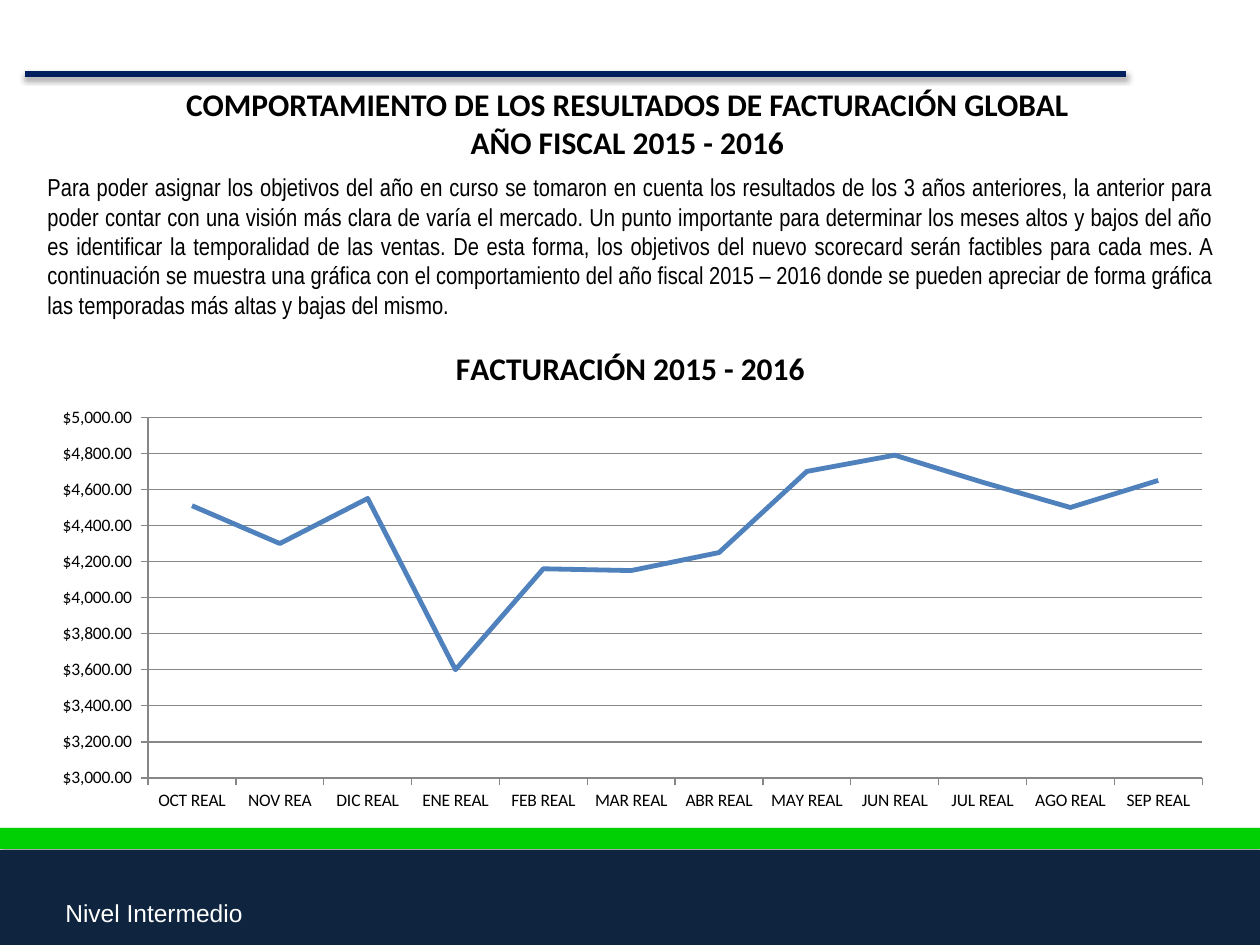
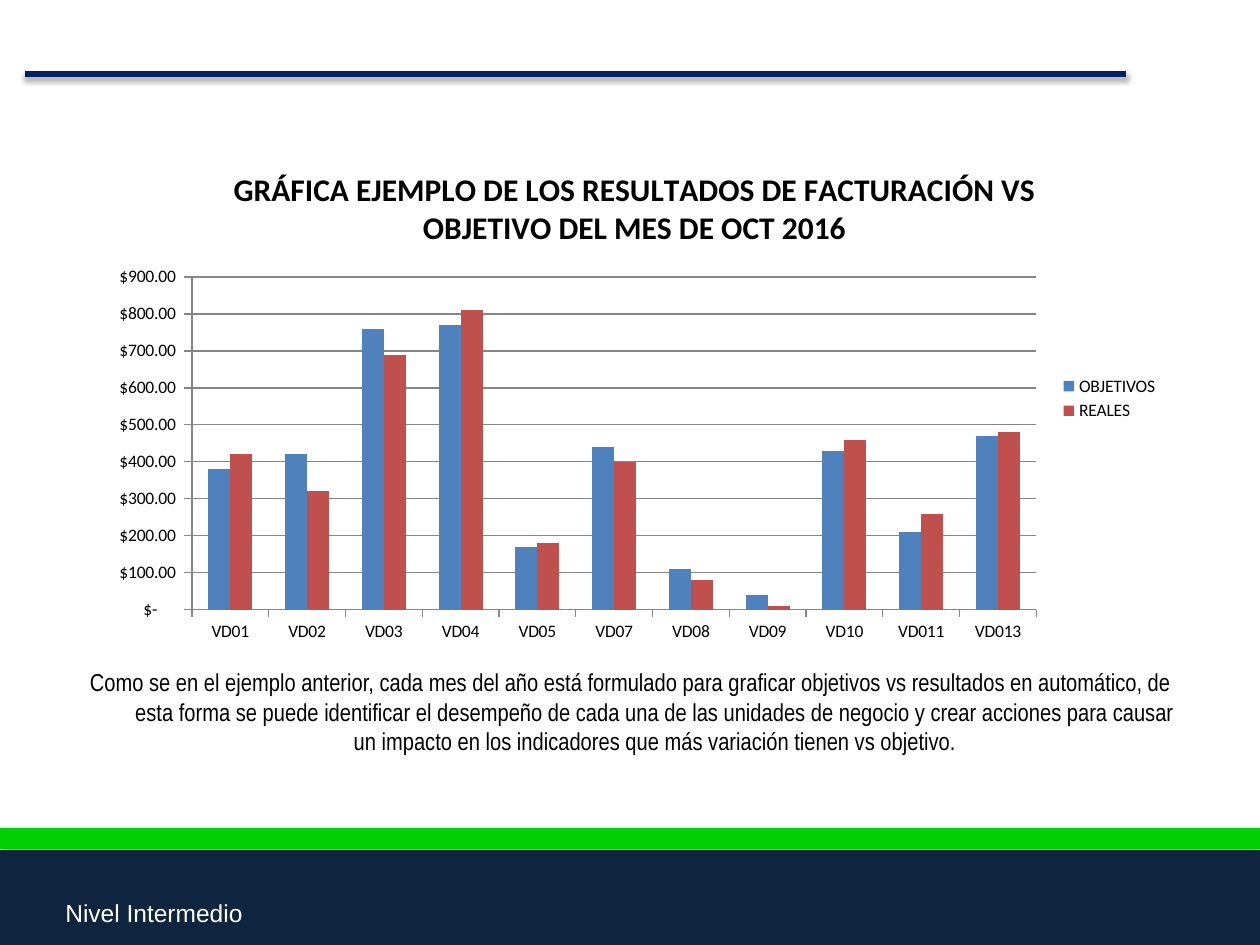
from lxml import etree
from pptx import Presentation, util as u
from pptx.chart.data import CategoryChartData
from pptx.dml.color import RGBColor
from pptx.enum import chart as ch, shapes, text
from pptx.oxml.ns import qn

PX = 914400 / 126
BLACK, WHITE, NAVY, GREEN = "000000", "FFFFFF", "0F243E", "01D004"
RULE, GRID, BLUE, RED = "002060", "868686", "4F81BD", "C0504D"
MONEY = '_("$"* #,##0.00_);_("$"* \\(#,##0.00\\);_("$"* "-"??_);_(@_)'
CENTER, JUSTIFY = text.PP_ALIGN.CENTER, text.PP_ALIGN.JUSTIFY


def px(*lengths):
    return [u.Emu(round(n * PX)) for n in lengths]


def rgb(color):
    return RGBColor.from_string(color)


def style(font, size, color, name, bold=False):
    font.size, font.name, font.bold = u.Pt(size), name, bold
    font.color.rgb = rgb(color)


def cast_shadow(sp):
    effects = etree.SubElement(sp._element.spPr, qn("a:effectLst"))
    shadow = etree.SubElement(effects, qn("a:outerShdw"), blurRad="40000",
                              dist="23000", dir="5400000", rotWithShape="0")
    color = etree.SubElement(shadow, qn("a:srgbClr"), val=BLACK)
    etree.SubElement(color, qn("a:alpha"), val="35000")


def add_band(s, box, color):
    sp = s.shapes.add_shape(shapes.MSO_SHAPE.RECTANGLE, *px(*box))
    sp.fill.solid()
    sp.fill.fore_color.rgb = rgb(color)
    sp.line.fill.background()
    cast_shadow(sp)


def add_text(s, box, lines, size, name, color=BLACK, bold=False, align=None, hanging=0):
    tf = s.shapes.add_textbox(*px(*box)).text_frame
    tf.word_wrap = True
    p = tf.paragraphs[0]
    p.alignment = align
    if hanging:
        indent = px(hanging)[0]
        p._p.get_or_add_pPr().set("marL", str(indent))
        p._p.get_or_add_pPr().set("indent", str(-indent))
    for i, line in enumerate(lines):
        if i:
            p.add_line_break()
        r = p.add_run()
        r.text = line
        style(r.font, size, color, name, bold)


def add_frame(prs):
    """Blank slide with the top rule, footer bands and footer text."""
    s = prs.slides.add_slide(prs.slide_layouts[6])
    add_band(s, (0, 828, 1260, 21), GREEN)
    add_band(s, (0, 850, 1260, 95), NAVY)
    add_text(s, (53, 892, 1207, 43), ["Nivel Intermedio"], 14, "Arial", WHITE)
    rule = s.shapes.add_connector(shapes.MSO_CONNECTOR.STRAIGHT, *px(25, 74, 1126, 74))
    rule.line.color.rgb = rgb(RULE)
    rule.line.width = u.Pt(3)
    cast_shadow(rule)
    return s


def add_chart(s, box, kind, title, cats, series, scale):
    data = CategoryChartData(number_format=MONEY)
    data.categories = cats
    for name, values in series:
        data.add_series(name, values)
    chart = s.shapes.add_chart(kind, *px(*box), data).chart
    style(chart.font, 10, BLACK, "Calibri")

    # Title and legend
    chart.has_title = True
    r = chart.chart_title.text_frame.paragraphs[0].add_run()
    r.text = title
    style(r.font, 18, BLACK, "Calibri", True)
    chart.chart_title.include_in_layout = False
    chart.has_legend = len(series) > 1
    if chart.has_legend:
        chart.legend.position = ch.XL_LEGEND_POSITION.RIGHT
        chart.legend.include_in_layout = False

    # Axes
    axis = chart.value_axis
    axis.minimum_scale, axis.maximum_scale, axis.major_unit = scale
    axis.tick_labels.number_format = MONEY
    axis.tick_labels.number_format_is_linked = False
    axis.has_major_gridlines = True
    for line in (axis.major_gridlines.format.line, axis.format.line,
                 chart.category_axis.format.line):
        line.color.rgb = rgb(GRID)
        line.width = u.Pt(0.75)
    for ax in (axis, chart.category_axis):
        ax.major_tick_mark = ch.XL_TICK_MARK.OUTSIDE

    # Series
    plot = chart.plots[0]
    plot.vary_by_categories = False
    for ser, color in zip(plot.series, (BLUE, RED)):
        if kind == ch.XL_CHART_TYPE.LINE:
            ser.smooth = False
            ser.format.line.color.rgb = rgb(color)
            ser.format.line.width = u.Pt(2.75)
        else:
            ser.format.fill.solid()
            ser.format.fill.fore_color.rgb = rgb(color)
    return plot


def billing_year_slide(prs):
    s = add_frame(prs)
    months = "OCT REAL,NOV REA,DIC REAL,ENE REAL,FEB REAL,MAR REAL,ABR REAL,MAY REAL,JUN REAL,JUL REAL,AGO REAL,SEP REAL"
    billing = (4510, 4300, 4550, 3600, 4160, 4150, 4250, 4700, 4790, 4640, 4500, 4650)
    add_chart(s, (35, 324, 1191, 496), ch.XL_CHART_TYPE.LINE, "FACTURACIÓN 2015 - 2016",
              months.split(","), [("Facturación", billing)], (3000, 5000, 200))
    add_text(s, (135, 79, 992, 89),
             ["COMPORTAMIENTO DE LOS RESULTADOS DE FACTURACIÓN GLOBAL ",
              "AÑO FISCAL 2015 - 2016 "], 18, "Calibri", bold=True, align=CENTER)
    add_text(s, (35, 166, 1191, 161), [
        "Para poder asignar los objetivos del año en curso se tomaron en cuenta los resultados "
        "de los 3 años anteriores, la anterior para poder contar con una visión más clara de "
        "varía el mercado. Un punto importante para determinar los meses altos y bajos del año "
        "es identificar la temporalidad de las ventas. De esta forma, los objetivos del nuevo "
        "scorecard serán factibles para cada mes. A continuación se muestra una gráfica con el "
        "comportamiento del año fiscal 2015 – 2016 donde se pueden apreciar de forma gráfica "
        "las temporadas más altas y bajas del mismo."], 14, "Arial Narrow", align=JUSTIFY)


def goals_slide(prs):
    s = add_frame(prs)
    add_text(s, (64, 661, 1134, 159), [
        "Como se en el ejemplo anterior, cada mes del año está formulado para graficar objetivos "
        "vs resultados en automático, de esta forma se puede identificar el desempeño de cada "
        "una de las unidades de negocio y crear acciones para causar un impacto en los "
        "indicadores que más variación tienen vs objetivo."],
        14, "Arial Narrow", align=CENTER, hanging=48)
    units = "VD01 VD02 VD03 VD04 VD05 VD07 VD08 VD09 VD10 VD011 VD013"
    series = [("OBJETIVOS ", (380, 420, 760, 770, 170, 440, 110, 40, 430, 210, 470)),
              ("REALES", (420, 320, 690, 810, 180, 400, 80, 10, 460, 260, 480))]
    plot = add_chart(
        s, (94, 145, 1081, 507), ch.XL_CHART_TYPE.COLUMN_CLUSTERED,
        "GRÁFICA EJEMPLO DE LOS RESULTADOS DE FACTURACIÓN VS OBJETIVO DEL MES DE OCT 2016",
        units.split(), series, (0, 900, 100))
    plot.gap_width, plot.overlap = 150, 0


def main():
    prs = Presentation()
    prs.slide_width, prs.slide_height = px(1260, 945)
    billing_year_slide(prs)
    goals_slide(prs)
    prs.save("out.pptx")


if __name__ == "__main__":
    main()
